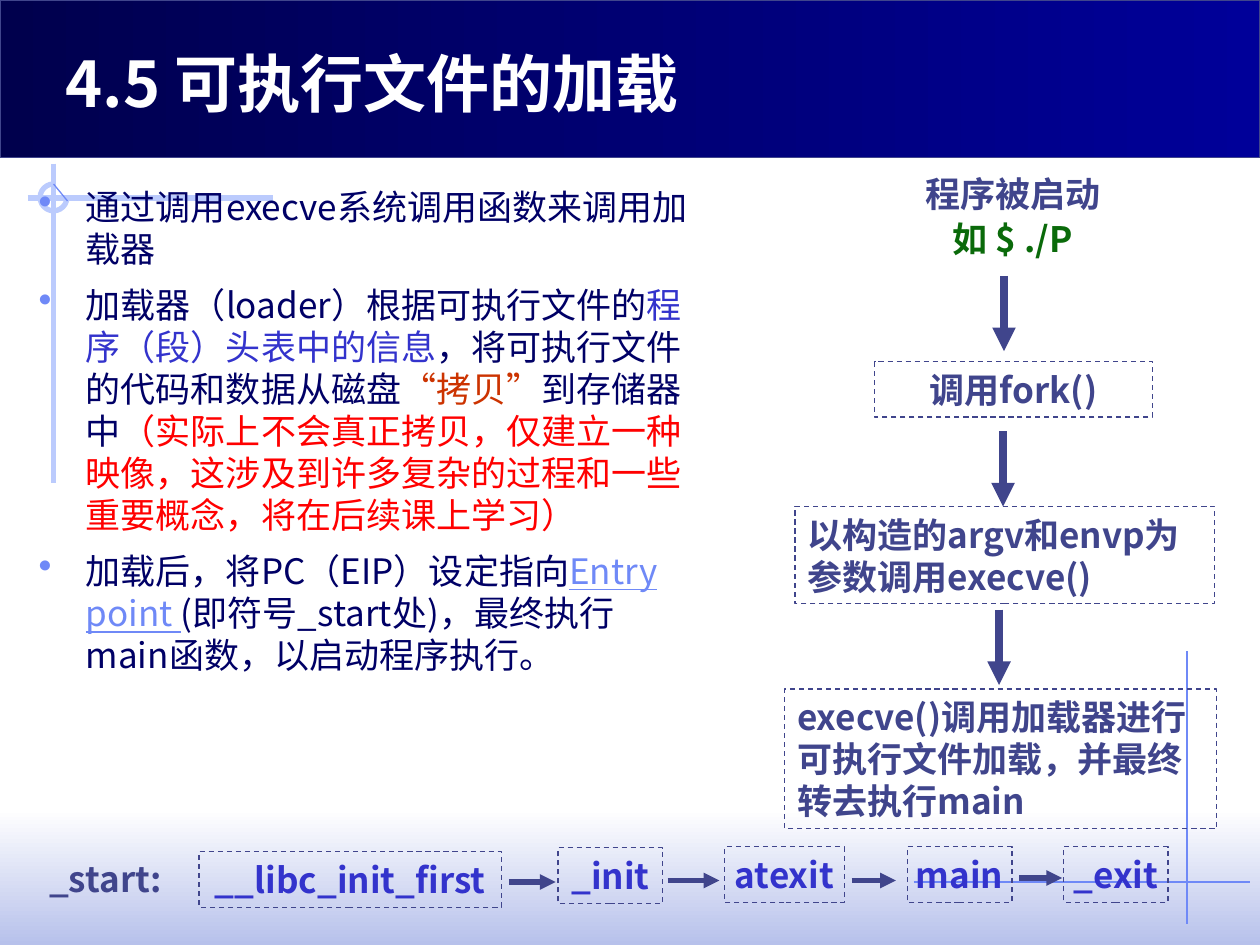
import pptx
import pptx.dml.color
import pptx.enum.dml
import pptx.enum.shapes
import pptx.enum.text
import pptx.oxml
import pptx.oxml.ns
import pptx.util

Cm = pptx.util.Cm
Pt = pptx.util.Pt
SHAPE = pptx.enum.shapes.MSO_SHAPE
ALIGN = pptx.enum.text.PP_ALIGN
ANCHOR = pptx.enum.text.MSO_ANCHOR

BODY_FONT = "Noto Sans CJK SC"
TITLE_FONT = "Noto Sans CJK JP"
SLATE, NAVY, BLUE, SKY, PALE = "40458C", "000066", "3333CC", "6F89F7", "BBCBFD"

BULLETS = [
    [("通过调用execve系统调用函数来调用加载器", NAVY)],
    [
        ("加载器（loader）根据可执行文件的", NAVY),
        ("程序（段）头表中的信息", BLUE),
        ("，将可执行文件的代码和数据从磁盘", NAVY),
        ("“拷贝”", "CC3300"),
        ("到存储器中", NAVY),
        ("（实际上不会真正拷贝，仅建立一种映像，这涉及到许多复杂的过程和一些重要概念，将在后续课上学习）", "FF0000"),
    ],
    [
        ("加载后，将PC（EIP）设定指向", NAVY),
        ("Entry point ", SKY),
        ("(即符号_start处)，最终执行main函数，以启动程序执行。", NAVY),
    ],
]
STEPS = [
    ("调用fork()", (17.63, 7.29, 5.61, 1.12), ALIGN.CENTER),
    ("以构造的argv和envp为参数调用execve()", (16.03, 10.21, 8.46, 1.96), ALIGN.LEFT),
    ("execve()调用加载器进行可执行文件加载，并最终转去执行main", (15.82, 13.89, 8.71, 2.82), ALIGN.LEFT),
]
STEP_ARROWS = [(20.24, 5.56), (20.22, 8.69), (20.14, 12.29)]
CALLS = [
    ("__libc_init_first", 4.01, 17.17, 6.1),
    ("_init", 11.25, 17.09, 2.11),
    ("atexit", 14.61, 17.07, 2.41),
    ("main", 18.29, 17.07, 2.11),
    ("_exit", 21.44, 17.07, 2.11),
]
CALL_ARROWS = [(10.26, 11.2, 17.78), (13.46, 14.5, 17.75), (17.17, 18.06, 17.75), (20.55, 21.41, 17.7)]


def rgb(value):
    """Return the colour for a hex string."""
    return pptx.dml.color.RGBColor.from_string(value)


def add_element(parent, tag, **attributes):
    """Append an empty drawing element to a parent."""
    element = pptx.oxml.parse_xml(f"<a:{tag} {pptx.oxml.ns.nsdecls('a')}/>")
    for name, value in attributes.items():
        element.set(name, value)
    parent.append(element)
    return element


def style(para, color, size=20, bold=True, name=BODY_FONT):
    """Set the font of a whole paragraph, East Asian letters included."""
    font = para.font
    font.size, font.bold, font.name = Pt(size), bold, name
    font.color.rgb = rgb(color)
    properties = para._p.get_or_add_pPr().find(pptx.oxml.ns.qn("a:defRPr"))
    add_element(properties, "ea", typeface=name)


def add_text(slide, place, lines, align=ALIGN.LEFT, gap=0, anchor=ANCHOR.TOP, **font):
    """Add a text box with one paragraph for each text and colour."""
    box = slide.shapes.add_textbox(*map(Cm, place))
    frame = box.text_frame
    frame.word_wrap = True
    frame.vertical_anchor = anchor
    for index, (text, color) in enumerate(lines):
        para = frame.add_paragraph() if index else frame.paragraphs[0]
        para.text, para.alignment = text, align
        if index:
            para.space_before = Pt(gap)
        style(para, color, **font)


def add_bullets(slide, place):
    """Add the bulleted explanation with coloured phrases."""
    frame = slide.shapes.add_textbox(*map(Cm, place)).text_frame
    frame.word_wrap = True
    for index, phrases in enumerate(BULLETS):
        para = frame.add_paragraph() if index else frame.paragraphs[0]
        if index:
            para.space_before = Pt(8)
        properties = para._p.get_or_add_pPr()
        properties.set("marL", str(Cm(0.95)))
        properties.set("indent", str(-Cm(0.95)))
        add_element(add_element(properties, "buClr"), "srgbClr", val=SKY)
        add_element(properties, "buSzPct", val="110000")
        add_element(properties, "buChar", char="•")
        style(para, NAVY, bold=False)
        for text, color in phrases:
            span = para.add_run()
            span.text = text
            if color != NAVY:
                span.font.color.rgb = rgb(color)
            if color == SKY:
                span.font.underline = True


def add_line(slide, start, end, color, width, arrow=False):
    """Add a straight line, with an arrowhead if asked."""
    line = slide.shapes.add_connector(
        pptx.enum.shapes.MSO_CONNECTOR.STRAIGHT, *map(Cm, start + end))
    line.line.color.rgb = rgb(color)
    line.line.width = Pt(width)
    if arrow:
        add_element(line.line._get_or_add_ln(), "tailEnd", type="triangle")
    add_element(line._element.spPr, "effectLst")


def add_outline(slide, kind, place, color, width):
    """Add an unfilled preset shape with a coloured outline."""
    shape = slide.shapes.add_shape(kind, *map(Cm, place))
    shape.shadow.inherit = False
    shape.fill.background()
    shape.line.color.rgb = rgb(color)
    shape.line.width = Pt(width)
    return shape


def add_dashed_box(slide, text, place, align, color, side=0.25):
    """Add a dashed box holding one bold text."""
    box = add_outline(slide, SHAPE.RECTANGLE, place, SLATE, 0.75)
    box.line.dash_style = pptx.enum.dml.MSO_LINE.DASH
    frame = box.text_frame
    frame.word_wrap = True
    frame.margin_left = frame.margin_right = Cm(side)
    para = frame.paragraphs[0]
    para.text, para.alignment = text, align
    style(para, color)


def add_band(slide, place, colors, angle, outline=None):
    """Add a full-width rectangle with a linear gradient."""
    band = slide.shapes.add_shape(SHAPE.RECTANGLE, *map(Cm, place))
    band.shadow.inherit = False
    band.fill.gradient()
    band.fill.gradient_angle = angle
    for stop, position, color in zip(band.fill.gradient_stops, (0, 1), colors):
        stop.position = position
        stop.color.rgb = rgb(color)
    if outline:
        band.line.color.rgb = rgb(outline)
        band.line.width = Pt(0.75)
    else:
        band.line.fill.background()


def add_backdrop(slide):
    """Add the bands, the crosshair and the corner lines."""
    add_band(slide, (0, 16.31, 25.4, 2.74), ("FFFFFF", "B7C1EB"), 270)
    add_line(slide, (23.93, 13.13), (23.93, 18.62), SKY, 0.75)
    add_line(slide, (0.56, 3.99), (5.51, 3.99), PALE, 3)
    add_line(slide, (1.08, 3.3), (1.08, 9.73), PALE, 3)
    ring = add_outline(slide, SHAPE.ARC, (0.81, 3.71, 0.54, 0.54), PALE, 3)
    ring.adjustments[0], ring.adjustments[1] = 0, 162
    add_line(slide, (1.08, 3.71), (1.36, 4.05), SKY, 0.75)
    add_band(slide, (0, 0, 25.4, 3.18), ("00004D", "000099"), 0, SLATE)
    add_line(slide, (18.42, 17.78), (25.2, 17.78), SKY, 0.75)


def main():
    """Build the slide and save it."""
    deck = pptx.Presentation()
    deck.slide_width, deck.slide_height = Cm(25.4), Cm(19.05)
    page = deck.slides.add_slide(deck.slide_layouts[6])
    add_backdrop(page)
    add_text(page, (1.07, 0.2, 21.59, 2.34), [("4.5 可执行文件的加载", "FFFFFF")],
             anchor=ANCHOR.BOTTOM, size=36, name=TITLE_FONT)
    add_bullets(page, (0.53, 3.61, 13.67, 13.97))
    add_text(page, (17.98, 3.35, 4.88, 2.06),
             [("程序被启动", SLATE), ("如 $ ./P", "0A6A0A")], ALIGN.CENTER, gap=2)
    for x, top in STEP_ARROWS:
        add_line(page, (x, top), (x, top + 1.52), SLATE, 4.5, arrow=True)
    for text, place, align in STEPS:
        add_dashed_box(page, text, place, align, SLATE)
    for text, left, top, width in CALLS:
        add_dashed_box(page, text, (left, top, width, 1.12), ALIGN.CENTER, BLUE, side=0)
    for left, right, y in CALL_ARROWS:
        add_line(page, (left, y), (right, y), SLATE, 3, arrow=True)
    add_text(page, (0.74, 17.17, 3, 1.12), [("_start:", SLATE)])
    deck.save("out.pptx")


if __name__ == "__main__":
    main()
